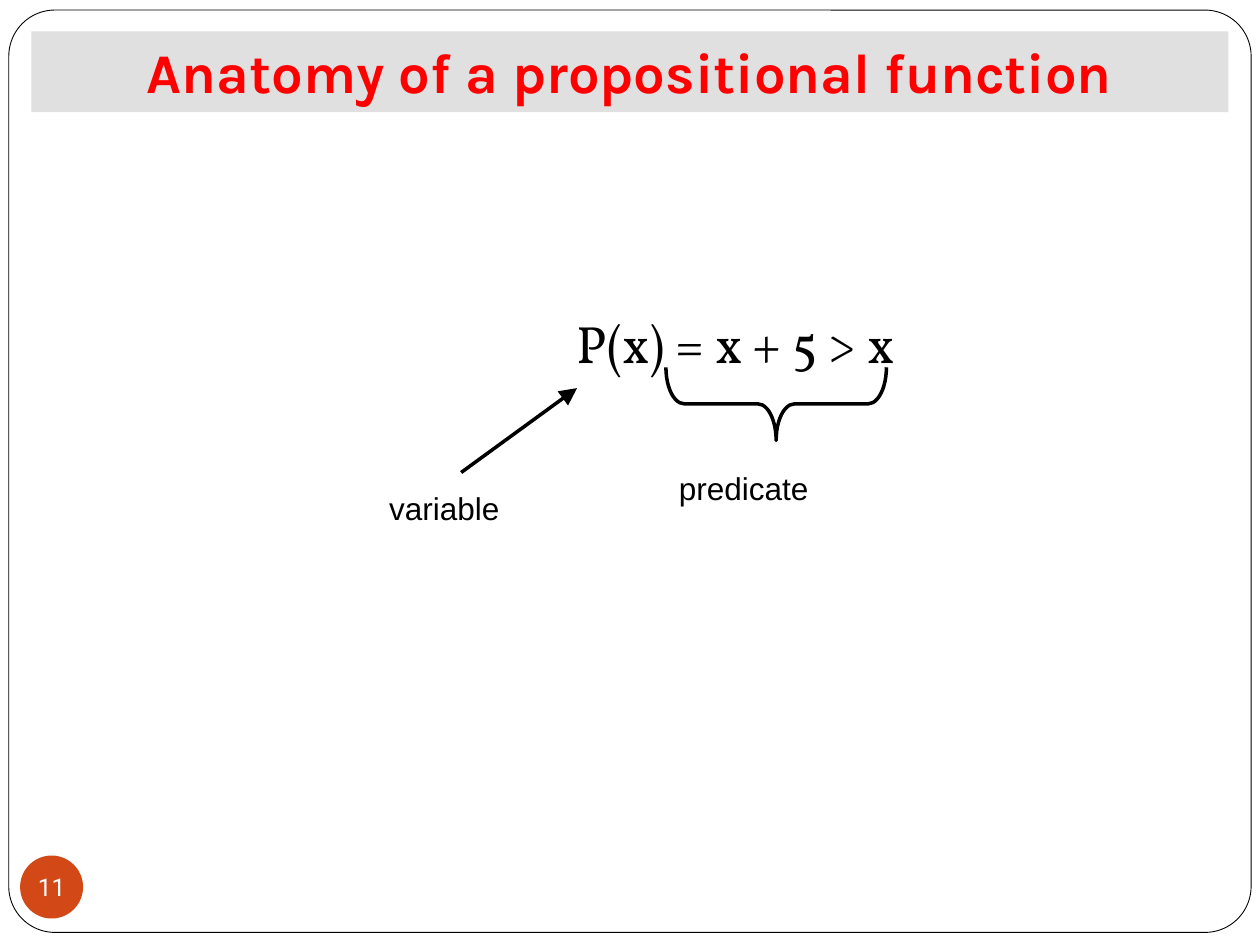
from lxml.etree import SubElement
from pptx import Presentation
from pptx.dml.color import RGBColor
from pptx.enum.shapes import MSO_CONNECTOR, MSO_SHAPE as Preset
from pptx.enum.text import MSO_ANCHOR as Anchor, PP_ALIGN as Align
from pptx.oxml.ns import qn
from pptx.util import Inches, Pt

BLACK = RGBColor(0x00, 0x00, 0x00)
WHITE = RGBColor(0xFF, 0xFF, 0xFF)
RED = RGBColor(0xFF, 0x00, 0x00)
BAND_GRAY = RGBColor(0xE1, 0xE0, 0xE0)
ORANGE = RGBColor(0xD3, 0x48, 0x17)


def write(holder, wording, face, size, color=BLACK, bold=False, align=Align.LEFT, **frame_format):
    frame = holder.text_frame
    for attribute, setting in frame_format.items():
        setattr(frame, attribute, setting)
    paragraph = frame.paragraphs[0]
    paragraph.alignment = align
    run = paragraph.add_run()
    run.text = wording
    run.font.color.rgb = color
    for attribute, setting in {"name": face, "size": Pt(size), "bold": bold}.items():
        setattr(run.font, attribute, setting)


def draw(slide, preset, box, fill=None, line_width=None):
    outline = slide.shapes.add_shape(preset, *map(Inches, box))
    outline.shadow.inherit = False
    if fill is None:
        outline.fill.background()
    else:
        outline.fill.solid()
        outline.fill.fore_color.rgb = fill
    if line_width is None:
        outline.line.fill.background()
    else:
        outline.line.color.rgb = BLACK
        outline.line.width = Pt(line_width)
    return outline


def label(slide, box, wording, face="Arial", size=18, wrap=False):
    caption = slide.shapes.add_textbox(*map(Inches, box))
    write(caption, wording, face, size, word_wrap=wrap)


def add_frame(slide, box):
    border = draw(slide, Preset.ROUNDED_RECTANGLE, box, WHITE, 0.5)
    border.adjustments[0] = 0.05


def add_title(slide, box):
    band = draw(slide, Preset.RECTANGLE, box, BAND_GRAY)
    write(band, "Anatomy of a propositional function", "Karla", 32, RED, True,
          Align.CENTER, word_wrap=True, vertical_anchor=Anchor.TOP)


def add_page_number(slide, box):
    badge = draw(slide, Preset.OVAL, box, ORANGE)
    insets = dict.fromkeys(("margin_left", "margin_top", "margin_right", "margin_bottom"), 0)
    write(badge, "11", "Roboto", 14, WHITE, align=Align.CENTER,
          word_wrap=False, vertical_anchor=Anchor.MIDDLE, **insets)


def add_arrow(slide, start, end):
    pointer = slide.shapes.add_connector(MSO_CONNECTOR.STRAIGHT, *map(Inches, start + end))
    pointer.line.color.rgb = BLACK
    pointer.line.width = Pt(2)
    SubElement(pointer.line._get_or_add_ln(), qn("a:tailEnd"), type="triangle", w="lg", len="lg")
    SubElement(pointer._element.spPr, qn("a:effectLst"))


def add_anatomy(slide, box):
    left, top, width, height = box
    formula_left = 1.49
    label(slide, (left + formula_left, top, width - formula_left, 0.68),
          "P(x) = x + 5 > x", "Vollkorn", 30, wrap=True)
    label(slide, (left, top + 1.41, 1.08, 0.4), "variable")
    add_arrow(slide, (left + 0.67, top + 1.33), (left + 1.59, top + 0.66))
    brace = draw(slide, Preset.LEFT_BRACE, (left + 2.88, top - 0.09, 0.58, 1.75), line_width=2)
    brace.rotation = 270
    brace.adjustments[0] = 0.25
    label(slide, (left + 2.3, top + 1.25, 1.23, 0.4), "predicate")


def main():
    deck = Presentation()
    deck.slide_width, deck.slide_height = Inches(10), Inches(7.5)
    slide = deck.slides.add_slide(deck.slide_layouts[6])
    add_frame(slide, (0.07, 0.08, 9.86, 7.32))
    add_title(slide, (0.25, 0.25, 9.5, 0.64))
    add_page_number(slide, (0.16, 6.79, 0.5, 0.5))
    add_anatomy(slide, (2.99, 2.42, 6.51, 1.81))
    deck.save("out.pptx")


if __name__ == "__main__":
    main()
